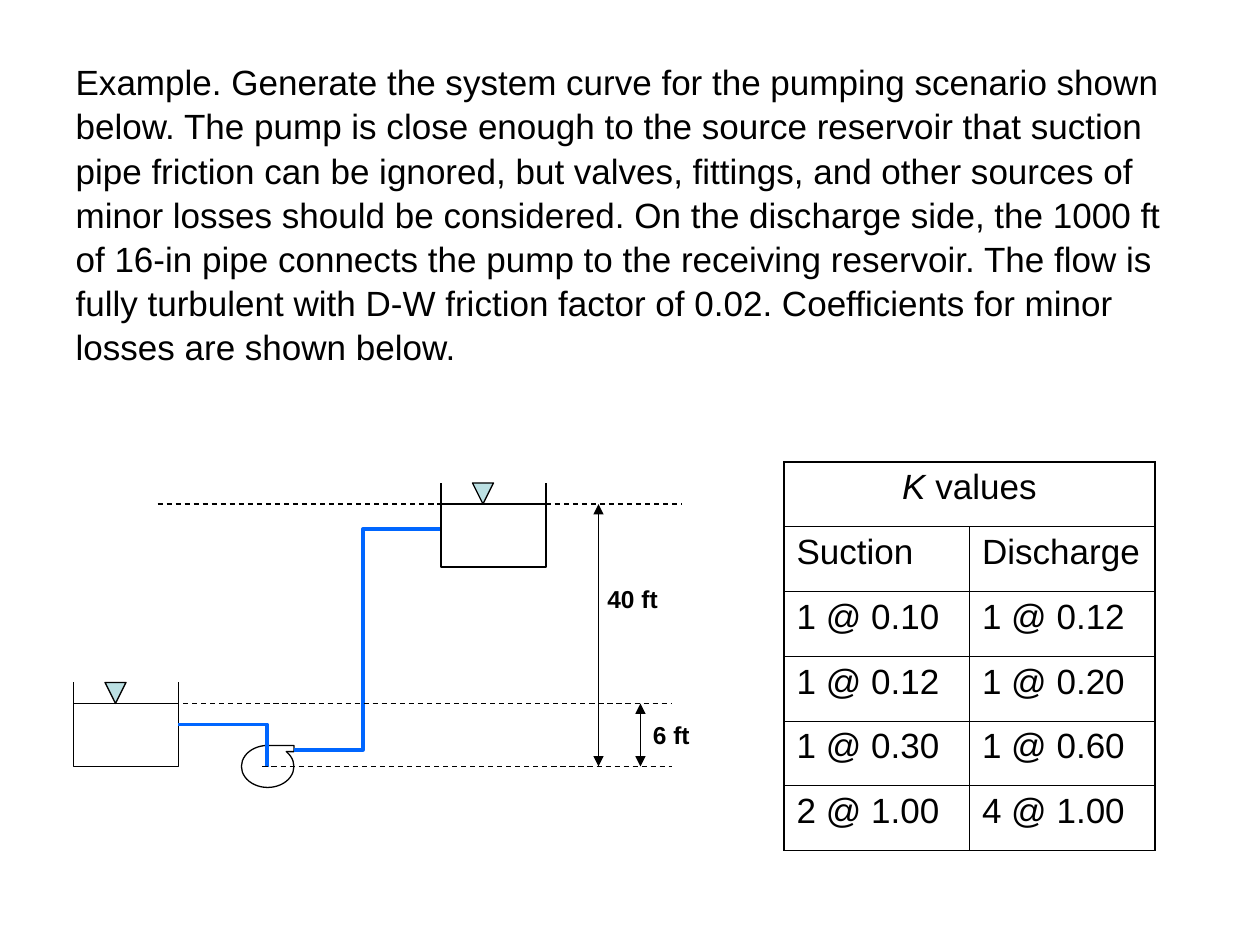
import lxml.etree
import pptx
import pptx.dml.color
import pptx.enum.dml
import pptx.enum.shapes
import pptx.enum.text
import pptx.oxml.ns
import pptx.util

Pt = pptx.util.Pt
qn = pptx.oxml.ns.qn
SHAPES = pptx.enum.shapes.MSO_SHAPE
COLORS = {"ink": "000000", "pipe": "0066FF", "water": "BBE0E3"}
BODY_FONT = {"name": "Arial", "size": Pt(20), "bold": False}
LABEL_FONT = {"name": "Arial", "size": Pt(14), "bold": True}

PROBLEM = (
    "Example. Generate the system curve for the pumping scenario shown below. "
    "The pump is close enough to the source reservoir that suction pipe friction "
    "can be ignored, but valves, fittings, and other sources of minor losses should "
    "be considered. On the discharge side, the 1000 ft of 16-in pipe connects the "
    "pump to the receiving reservoir. The flow is fully turbulent with D-W friction "
    "factor of 0.02. Coefficients for minor losses are shown below."
)
K_VALUES = [
    ("Suction", "Discharge"),
    ("1 @ 0.10", "1 @ 0.12"),
    ("1 @ 0.12", "1 @ 0.20"),
    ("1 @ 0.30", "1 @ 0.60"),
    ("2 @ 1.00", "4 @ 1.00"),
]


def rgb(color):
    return pptx.dml.color.RGBColor.from_string(COLORS[color])


def add_run(paragraph, text, formats, **extra):
    run = paragraph.add_run()
    run.text = text
    for attribute, value in {**formats, **extra}.items():
        setattr(run.font, attribute, value)
    run.font.color.rgb = rgb("ink")


def style_outline(shape, color="ink", weight=0.75, fill=None):
    shape.shadow.inherit = False
    shape.line.color.rgb = rgb(color)
    shape.line.width = Pt(weight)
    if fill:
        shape.fill.solid()
        shape.fill.fore_color.rgb = rgb(fill)
    else:
        shape.fill.background()


def add_path(slide, points, **outline):
    start, *rest = [(Pt(x), Pt(y)) for x, y in points]
    builder = slide.shapes.build_freeform(*start)
    builder.add_line_segments(rest, close=False)
    style_outline(builder.convert_to_shape(), **outline)


def add_flipped(slide, kind, left, top, width, height, fill=None):
    shape = slide.shapes.add_shape(kind, Pt(left), Pt(top), Pt(width), Pt(height))
    shape.element.spPr.find(qn("a:xfrm")).set("flipV", "1")
    style_outline(shape, fill=fill)


def add_line(slide, x1, y1, x2, y2, dashed=False, arrows=False):
    line = slide.shapes.add_connector(
        pptx.enum.shapes.MSO_CONNECTOR.STRAIGHT, Pt(x1), Pt(y1), Pt(x2), Pt(y2))
    line.line.color.rgb = rgb("ink")
    line.line.width = Pt(0.75)
    if dashed:
        line.line.dash_style = pptx.enum.dml.MSO_LINE.DASH
    if arrows:
        for end in ("a:headEnd", "a:tailEnd"):
            lxml.etree.SubElement(line.line._get_or_add_ln(), qn(end), type="triangle")
    lxml.etree.SubElement(line.element.spPr, qn("a:effectLst"))


def add_reservoir(slide, left, top):
    """Open tank with its water surface and level marker."""
    width, height, surface = 60, 48, 12
    right, bottom = left + width, top + height
    add_path(slide, [(left, top), (left, bottom), (right, bottom), (right, top)])
    add_line(slide, left, top + surface, right, top + surface)
    add_flipped(slide, SHAPES.ISOSCELES_TRIANGLE, left + 18, top, 12, surface, "water")


def add_label(slide, text, left, top):
    label = slide.shapes.add_textbox(Pt(left), Pt(top), Pt(66), Pt(24.5))
    label.text_frame.word_wrap = True
    add_run(label.text_frame.paragraphs[0], text, LABEL_FONT)


def add_problem(slide, left, top, width, height):
    body = slide.placeholders[1]
    box = {"left": left, "top": top, "width": width, "height": height}
    for attribute, value in box.items():
        setattr(body, attribute, Pt(value))
    body.text_frame.auto_size = pptx.enum.text.MSO_AUTO_SIZE.NONE
    paragraph = body.text_frame.paragraphs[0]
    properties = paragraph._p.get_or_add_pPr()
    properties.set("marL", "0")
    properties.set("indent", "0")
    lxml.etree.SubElement(properties, qn("a:buNone"))
    spacing = {"space_before": Pt(0), "space_after": Pt(7.5), "line_spacing": 1.05}
    for attribute, value in spacing.items():
        setattr(paragraph, attribute, value)
    add_run(paragraph, PROBLEM, BODY_FONT)


def add_pump_system(slide, left, top):
    upper, lower, pump = top + 12, top + 126, top + 162  # elevation levels

    # Pump and discharge pipe
    add_flipped(slide, SHAPES.FLOWCHART_SEQUENTIAL_ACCESS_STORAGE,
                left + 96, pump - 12, 30, 24)
    outlet, inlet, riser = top + 152.4, top + 26.4, left + 165.4
    add_path(slide, [(left + 126, outlet), (riser, outlet), (riser, inlet),
                     (left + 210, inlet)], color="pipe", weight=2.25)

    # Source and receiving reservoirs
    add_reservoir(slide, left, lower - 12)
    add_reservoir(slide, left + 210, upper - 12)

    # Suction pipe
    drop = left + 110.6
    add_path(slide, [(left + 60, top + 138), (drop, top + 138), (drop, pump)],
             color="pipe", weight=2.25)

    # Elevation lines and heights
    for start, end, level in [(42, 342, lower), (48, 348, upper), (108, 342, pump)]:
        add_line(slide, left + start, level, left + end, level, dashed=True)
    for x, level in [(324, lower), (300, upper)]:
        add_line(slide, left + x, level, left + x, pump, arrows=True)
    add_label(slide, "40 ft", left + 298, top + 54)
    add_label(slide, "6 ft", left + 324, top + 132)


def style_cell(cell, edges):
    """edges maps each side to True where it lies on the table's outer frame."""
    properties = cell._tc.get_or_add_tcPr()
    for side in "LRTB":
        weight = Pt(1.08 if edges[side] else 0.45)
        border = lxml.etree.SubElement(properties, qn("a:ln" + side), w=str(int(weight)))
        solid = lxml.etree.SubElement(border, qn("a:solidFill"))
        lxml.etree.SubElement(solid, qn("a:srgbClr"), val=COLORS["ink"])
    cell.fill.background()


def add_k_table(slide, left, top, width, height):
    row_count = len(K_VALUES) + 1
    table = slide.shapes.add_table(
        row_count, 2, Pt(left), Pt(top), Pt(width), Pt(height)).table
    for flag in ("first_row", "horz_banding"):
        setattr(table, flag, False)
    for r in range(row_count):
        for c in range(2):
            style_cell(table.cell(r, c), {
                "L": c == 0, "R": c == 1 or r == 0,
                "T": r == 0, "B": r == row_count - 1})

    # Heading across both columns
    table.cell(0, 0).merge(table.cell(0, 1))
    heading = table.cell(0, 0).text_frame.paragraphs[0]
    heading.alignment = pptx.enum.text.PP_ALIGN.CENTER
    add_run(heading, "K", BODY_FONT, italic=True)
    add_run(heading, " values", BODY_FONT)

    # Loss coefficients
    for r, coefficients in enumerate(K_VALUES, start=1):
        for c, text in enumerate(coefficients):
            add_run(table.cell(r, c).text_frame.paragraphs[0], text, BODY_FONT)


def main():
    deck = pptx.Presentation()
    deck.slide_width, deck.slide_height = Pt(720), Pt(540)
    slide = deck.slides.add_slide(deck.slide_layouts[1])
    title = slide.shapes.title.element
    title.getparent().remove(title)
    add_problem(slide, 36, 30, 636, 180)
    add_pump_system(slide, 42, 276)
    add_k_table(slide, 448, 264, 212, 222)
    deck.save("out.pptx")


if __name__ == "__main__":
    main()
